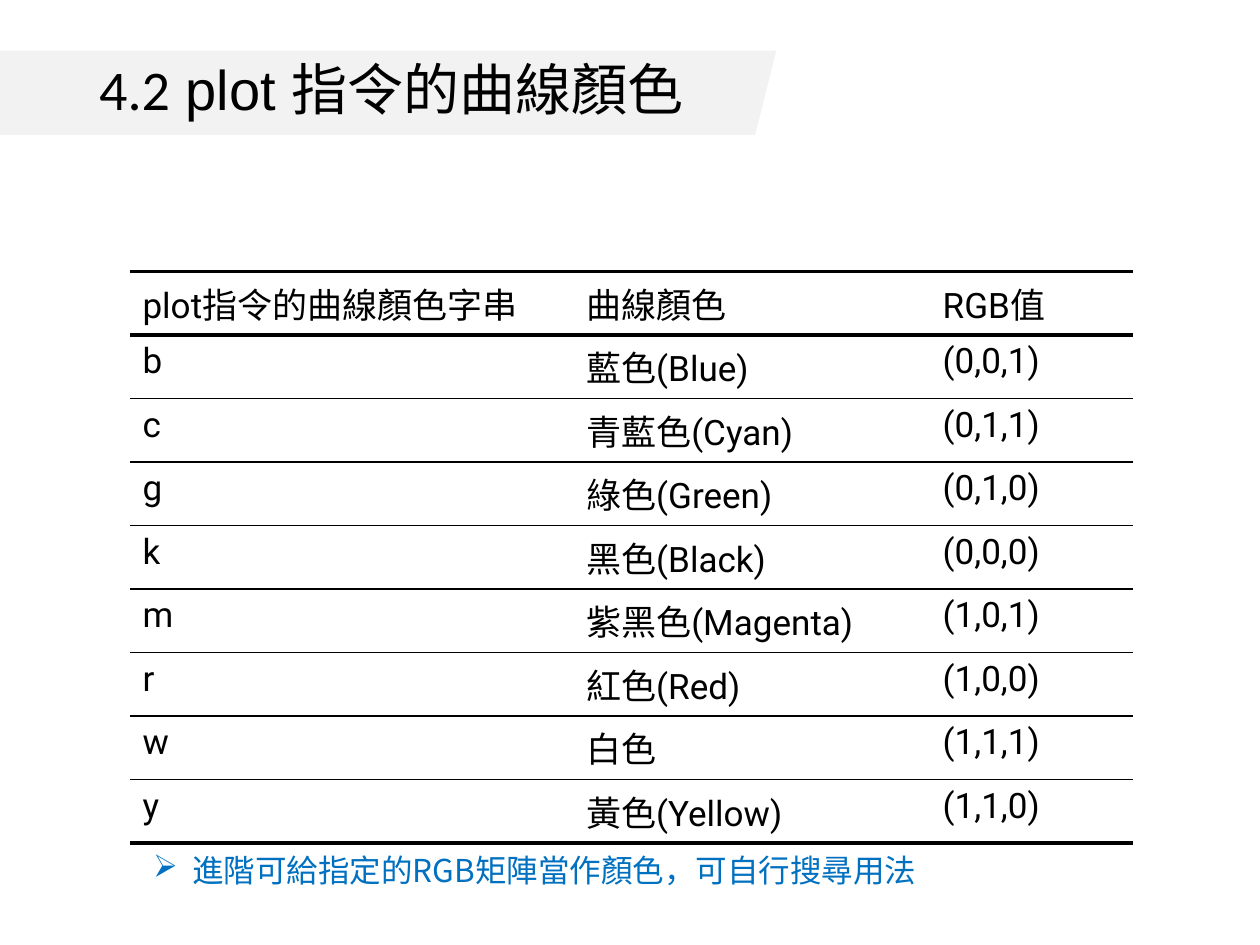
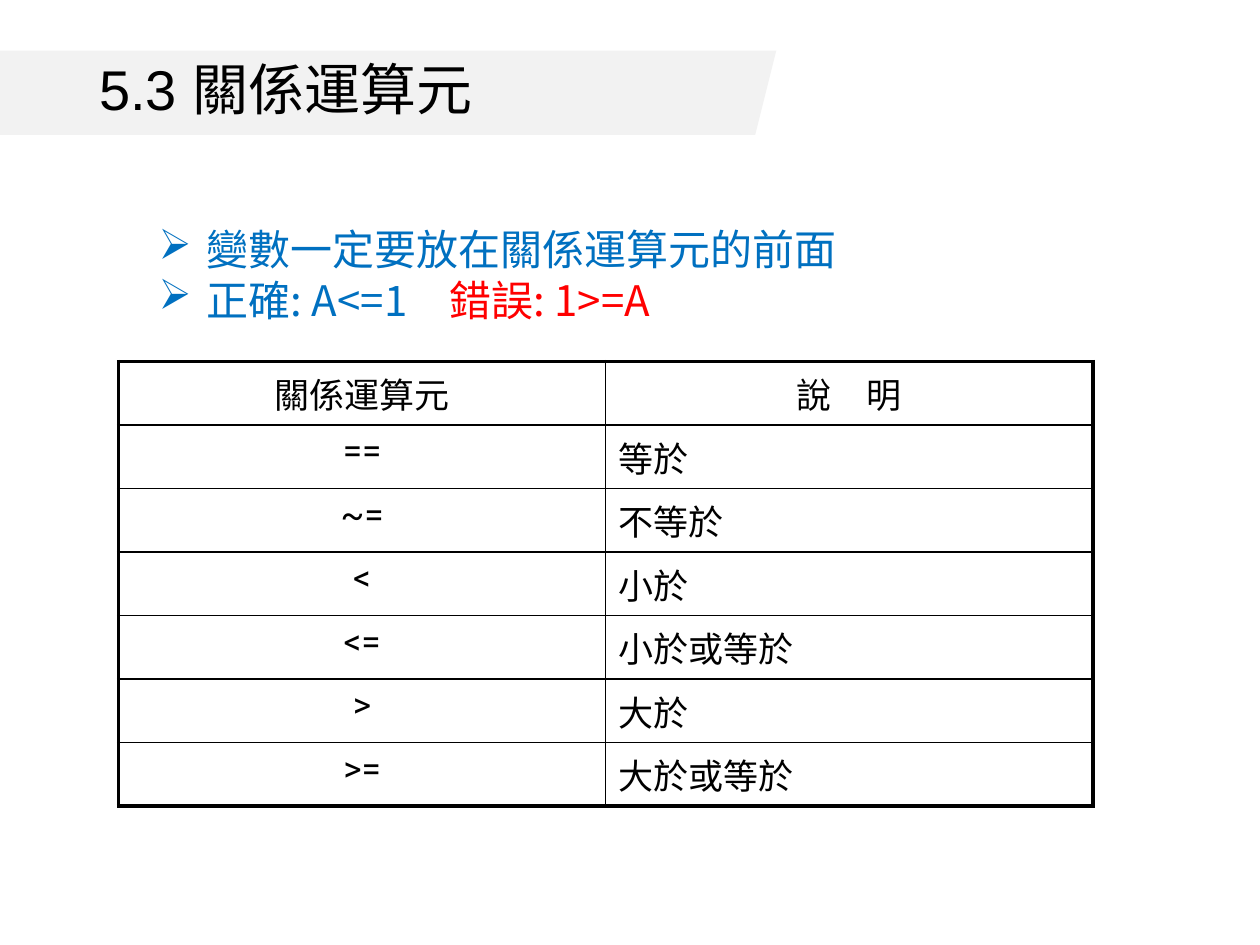
from dataclasses import dataclass
from typing import Any

from lxml import etree
from pptx import Presentation
from pptx.dml.color import RGBColor
from pptx.enum import shapes, text
from pptx.oxml import ns
from pptx.util import Cm, Pt

BLACK, BLUE, RED, BAND = "000000", "0070C0", "FF0000", "F2F2F2"
CJK, LATIN = "Noto Sans CJK SC", "Roboto"
THICK, THIN, NONE = 2.25, 1, 0
ROW_HEIGHT = 1.28
LEFT, CENTER = text.PP_ALIGN.LEFT, text.PP_ALIGN.CENTER


@dataclass
class Run:
    text: str
    size: int
    font: str = CJK
    color: str = BLACK


@dataclass
class Box:
    left: float
    top: float
    width: float
    height: float

    def lengths(self) -> list[Cm]:
        return [Cm(v) for v in (self.left, self.top, self.width, self.height)]


@dataclass
class Column:
    width: float
    align: Any = LEFT
    font: str = LATIN


@dataclass
class Grid:
    left: float
    top: float
    columns: list[Column]
    rows: list[list[str]]
    side: float
    divider: float
    under_header: float
    header_align: Any
    header_font: str


def rgb(color: str) -> RGBColor:
    return RGBColor.from_string(color)


def child(parent: Any, tag: str, **attributes: str) -> Any:
    return etree.SubElement(parent, ns.qn(tag), attributes)


def add_run(p: Any, run: Run) -> None:
    r = p.add_run()
    r.text = run.text
    for name, value in {"size": Pt(run.size), "name": run.font}.items():
        setattr(r.font, name, value)
    r.font.color.rgb = rgb(run.color)
    child(r.font._element, "a:ea", typeface=CJK)


def add_title(s: Any, runs: list[Run]) -> None:
    """Draw the grey band and the title on it."""
    band = s.shapes.add_shape(shapes.MSO_SHAPE.PARALLELOGRAM,
                              *Box(-0.48, 1.02, 16.13, 1.7).lengths())
    band.shadow.inherit = False
    band.fill.solid()
    band.fill.fore_color.rgb = rgb(BAND)
    band.line.fill.background()

    tf = s.shapes.add_textbox(*Box(1.75, 1.02, 14.2, 1.7).lengths()).text_frame
    tf.word_wrap = True
    tf.vertical_anchor = text.MSO_ANCHOR.MIDDLE
    p = tf.paragraphs[0]
    p.line_spacing = 0.9
    for run in runs:
        add_run(p, run)


def add_bullets(s: Any, box: Box, indent: float, lines: list[list[Run]]) -> None:
    tf = s.shapes.add_textbox(*box.lengths()).text_frame
    tf.word_wrap = True
    for i, runs in enumerate(lines):
        p = tf.add_paragraph() if i else tf.paragraphs[0]
        pPr = p._p.get_or_add_pPr()
        pPr.set("marL", str(Cm(indent)))
        pPr.set("indent", str(-Cm(indent)))
        child(pPr, "a:buChar", char="➢")
        for run in runs:
            add_run(p, run)


def set_borders(cell: Any, widths: dict[str, float]) -> None:
    """Set the borders, given in the order L, R, T, B; width 0 hides one."""
    cell.fill.background()
    tcPr = cell._tc.get_or_add_tcPr()
    for i, (edge, width) in enumerate(widths.items()):
        ln = etree.Element(ns.qn(f"a:ln{edge}"), w=str(Pt(width)))
        if width:
            child(child(ln, "a:solidFill"), "a:srgbClr", val=BLACK)
        else:
            child(ln, "a:noFill")
        tcPr.insert(i, ln)


def add_grid(s: Any, grid: Grid) -> None:
    n_rows, n_cols = len(grid.rows), len(grid.columns)
    box = Box(grid.left, grid.top, sum(c.width for c in grid.columns),
              ROW_HEIGHT * n_rows)
    table = s.shapes.add_table(n_rows, n_cols, *box.lengths()).table
    table.first_row = table.horz_banding = False
    for j, column in enumerate(grid.columns):
        table.columns[j].width = Cm(column.width)
    across = [THICK, grid.under_header] + [THIN] * (n_rows - 2) + [THICK]
    down = [grid.side] + [grid.divider] * (n_cols - 1) + [grid.side]

    for i, row in enumerate(grid.rows):
        table.rows[i].height = Cm(ROW_HEIGHT)
        for j, (value, column) in enumerate(zip(row, grid.columns)):
            cell = table.cell(i, j)
            p = cell.text_frame.paragraphs[0]
            p.alignment = column.align if i else grid.header_align
            child(child(p._p.get_or_add_pPr(), "a:spcBef"), "a:spcPct", val="20000")
            add_run(p, Run(value, 20, column.font if i else grid.header_font))
            set_borders(cell, {"L": down[j], "R": down[j + 1],
                               "T": across[i], "B": across[i + 1]})


def build_colors(s: Any) -> None:
    add_title(s, [Run("4.2", 32, "Calibri"), Run(" plot 指令的曲線顏色", 32, "Arial")])
    add_grid(s, Grid(
        2.62, 5.47, [Column(8.94), Column(7.19), Column(4.09)],
        [["plot指令的曲線顏色字串", "曲線顏色", "RGB值"],
         ["b", "藍色(Blue)", "(0,0,1)"],
         ["c", "青藍色(Cyan)", "(0,1,1)"],
         ["g", "綠色(Green)", "(0,1,0)"],
         ["k", "黑色(Black)", "(0,0,0)"],
         ["m", "紫黑色(Magenta)", "(1,0,1)"],
         ["r", "紅色(Red)", "(1,0,0)"],
         ["w", "白色", "(1,1,1)"],
         ["y", "黃色(Yellow)", "(1,1,0)"]],
        side=NONE, divider=NONE, under_header=THICK,
        header_align=LEFT, header_font=LATIN))
    add_bullets(s, Box(2.84, 17.04, 16.05, 1.02), 0.79, [
        [Run("進階可給指定的RGB矩陣當作顏色，可自行搜尋用法", 18, color=BLUE)]])


def build_operators(s: Any) -> None:
    add_title(s, [Run("5.3 關係運算元", 32, "Arial")])
    add_grid(s, Grid(
        2.39, 7.29, [Column(9.82, CENTER), Column(9.82, font=CJK)],
        [["關係運算元", "說　明"],
         ["==", "等於"],
         ["~=", "不等於"],
         ["<", "小於"],
         ["<=", "小於或等於"],
         [">", "大於"],
         [">=", "大於或等於"]],
        side=THICK, divider=THIN, under_header=THIN,
        header_align=CENTER, header_font=CJK))
    add_bullets(s, Box(2.95, 4.39, 14.3, 2.31), 0.97, [
        [Run("變數一定要放在關係運算元的前面", 24, color=BLUE)],
        [Run("正確: A<=1　", 24, color=BLUE), Run("錯誤: 1>=A", 24, color=RED)]])


def main() -> None:
    prs = Presentation()
    prs.slide_width, prs.slide_height = Cm(25.4), Cm(19.05)
    for build in (build_colors, build_operators):
        build(prs.slides.add_slide(prs.slide_layouts[6]))
    prs.save("out.pptx")


if __name__ == "__main__":
    main()
